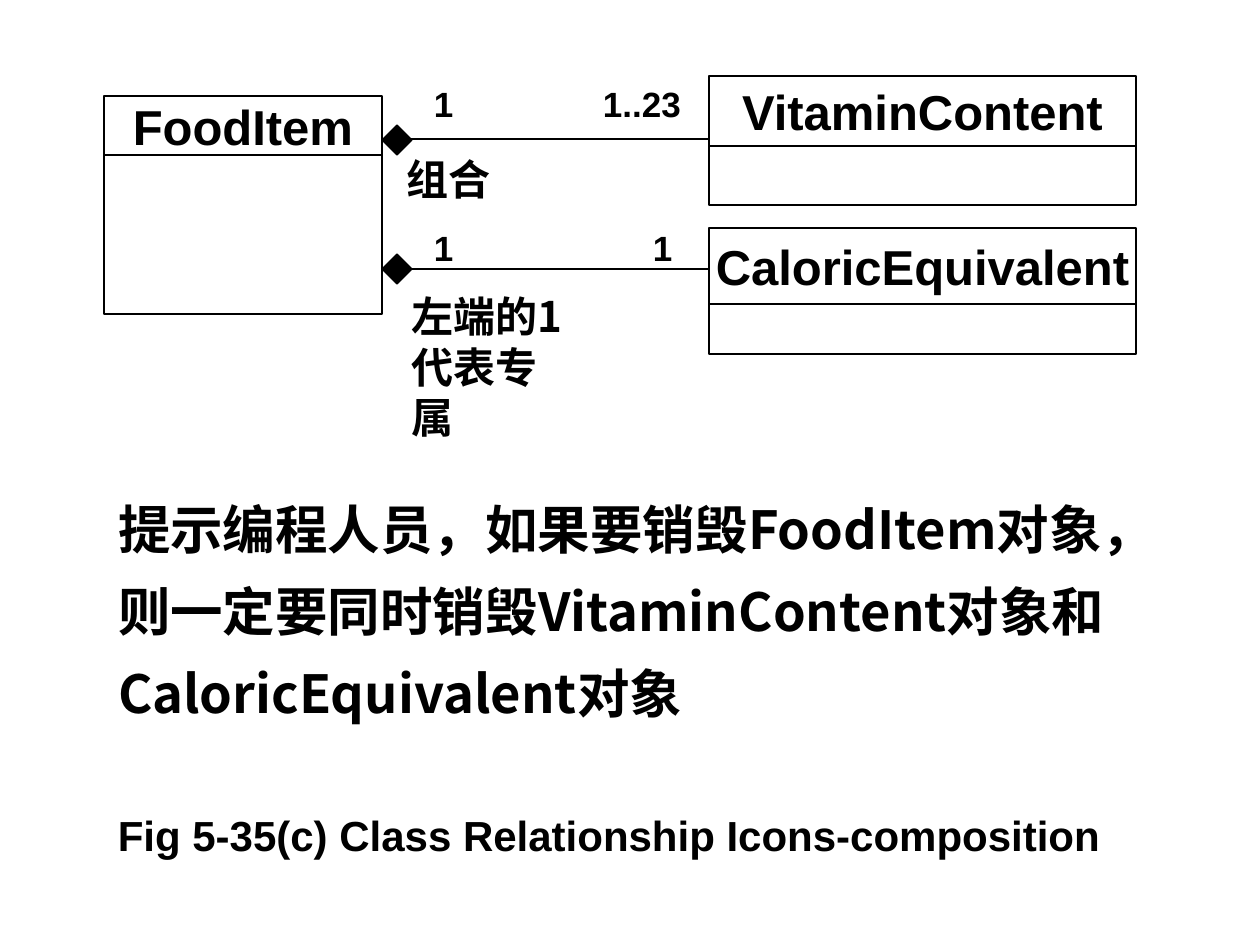
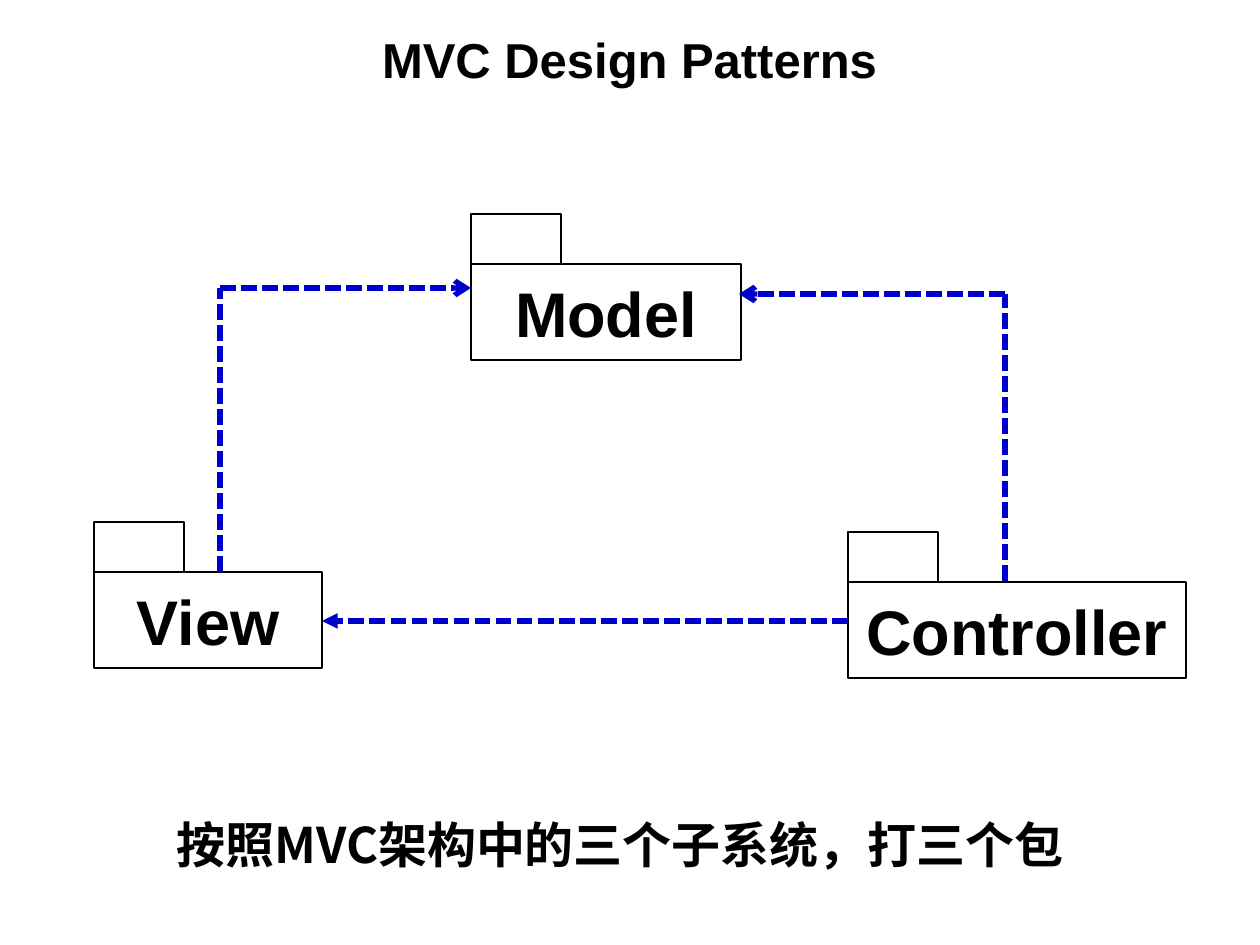
import pptx
import pptx.util
import pptx.dml.color
import pptx.enum.dml
import pptx.enum.shapes
import pptx.enum.text
import pptx.oxml.ns
import lxml.etree

BLACK = pptx.dml.color.RGBColor(0x00, 0x00, 0x00)
WHITE = pptx.dml.color.RGBColor(0xFF, 0xFF, 0xFF)
BLUE = pptx.dml.color.RGBColor(0x00, 0x00, 0xCC)
LATIN = "Arial"
CHINESE = "Noto Sans CJK SC"
PIXEL = 914400 // 126
THIN = 0.74
LEFT = pptx.enum.text.PP_ALIGN.LEFT
CENTER = pptx.enum.text.PP_ALIGN.CENTER
TOP = pptx.enum.text.MSO_ANCHOR.TOP
MIDDLE = pptx.enum.text.MSO_ANCHOR.MIDDLE
SHAPES = pptx.enum.shapes.MSO_SHAPE
TITLE_ONLY, BLANK = 5, 6


def px(*lengths):
    """Turn pixel lengths into EMU."""
    return [pptx.util.Emu(length * PIXEL) for length in lengths]


def apply_format(target, values):
    """Set each attribute named in a dict of format values."""
    for name, value in values.items():
        setattr(target, name, value)


def add_xml(parent, tag, **attributes):
    """Append a DrawingML element to a parent element."""
    return lxml.etree.SubElement(parent, pptx.oxml.ns.qn(tag), attributes)


def write(box, text, size, font=LATIN, align=LEFT, anchor=TOP,
          margins=(13, 6), wrap=True, spacing=None):
    """Write one bold black paragraph into a shape."""
    frame = box.text_frame
    side, edge = px(*margins)
    apply_format(frame, {
        "word_wrap": wrap, "vertical_anchor": anchor,
        "margin_left": side, "margin_right": side,
        "margin_top": edge, "margin_bottom": edge})
    para = frame.paragraphs[0]
    apply_format(para, {"alignment": align, "line_spacing": spacing})
    span = para.add_run()
    span.text = text
    apply_format(span.font, {
        "name": font, "size": pptx.util.Pt(size), "bold": True})
    span.font.color.rgb = BLACK
    add_xml(span.font._element, "a:ea", typeface=font)


def add_label(page, place, text, size, **style):
    """Add a text box at left, top, width, height."""
    write(page.shapes.add_textbox(*px(*place)), text, size, **style)


def add_block(page, place, fill=WHITE, kind=SHAPES.RECTANGLE, weight=THIN):
    """Add a filled shape with a black outline."""
    block = page.shapes.add_shape(kind, *px(*place))
    block.shadow.inherit = False
    block.fill.solid()
    block.fill.fore_color.rgb = fill
    block.line.color.rgb = BLACK
    block.line.width = pptx.util.Pt(weight)
    return block


def add_line(page, start, end, color=BLACK, weight=THIN, dashed=False,
             head=None):
    """Add a straight line, with an arrowhead at its end if one is named."""
    line = page.shapes.add_connector(
        pptx.enum.shapes.MSO_CONNECTOR.STRAIGHT, *px(*start, *end))
    line.line.color.rgb = color
    line.line.width = pptx.util.Pt(weight)
    if dashed:
        line.line.dash_style = pptx.enum.dml.MSO_LINE.SQUARE_DOT
    if head:
        add_xml(line.line._get_or_add_ln(), "a:tailEnd", type=head)
    add_xml(line._element.spPr, "a:effectLst")


def add_class(page, left, top, width, name_height, body_height, name):
    """Add a class icon: a name compartment above an empty one."""
    header = add_block(page, (left, top, width, name_height))
    write(header, name, 28, align=CENTER, anchor=MIDDLE, wrap=False)
    add_block(page, (left, top + name_height, width, body_height))


def add_composition(page, left, right, y, top, ends):
    """Add a composition line with its diamond and multiplicities."""
    add_line(page, (left + 15, y), (right, y))
    add_block(page, (left, top, 30, 30), BLACK, SHAPES.DIAMOND)
    for text, x, label_top, width in ends:
        add_label(page, (x, label_top, width, 55), text, 20)


def add_package(page, left, top, width, name):
    """Add a package icon: a named body with a tab on its top left."""
    body = add_block(page, (left, top, width, 96))
    write(body, name, 36, align=CENTER, margins=(13, 10))
    add_block(page, (left, top - 50, 90, 50), weight=1)


def add_dependency(page, *points, head):
    """Add a dashed route through points, with a head at the last one."""
    last = len(points) - 2
    for index, (start, end) in enumerate(zip(points, points[1:])):
        add_line(page, start, end, BLUE, 3, True,
                 head if index == last else None)


def build_composition(deck):
    """Build the slide on the composition relationship."""
    page = deck.slides.add_slide(deck.slide_layouts[BLANK])
    add_label(page, (399, 285, 189, 164), "左端的1代表专属", 24, font=CHINESE)
    add_label(page, (407, 154, 87, 50), "组合", 24, font=CHINESE,
              margins=(0, 0))
    add_class(page, 104, 96, 278, 59, 159, "FoodItem")
    add_composition(page, 382, 709, 139, 125,
                    [("1", 421, 76, 49), ("1..23", 590, 76, 110)])
    add_composition(page, 382, 709, 269, 254,
                    [("1", 421, 220, 49), ("1", 640, 220, 49)])
    add_class(page, 709, 76, 427, 70, 59, "VitaminContent")
    add_class(page, 709, 228, 427, 76, 50, "CaloricEquivalent")
    add_label(page, (94, 819, 1030, 40),
              "Fig 5-35(c) Class Relationship Icons-composition", 24,
              align=CENTER, margins=(0, 0), spacing=0.8)
    add_label(page, (105, 472, 1042, 258),
              "提示编程人员，如果要销毁FoodItem对象，则一定要同时销毁"
              "VitaminContent对象和CaloricEquivalent对象", 30,
              font=CHINESE, spacing=1.3)


def build_mvc(deck):
    """Build the slide on the packages of the MVC pattern."""
    page = deck.slides.add_slide(deck.slide_layouts[TITLE_ONLY])
    title = page.shapes.title
    place = px(94, 32, 1071, 54)
    apply_format(title, dict(zip(("left", "top", "width", "height"), place)))
    write(title, "MVC Design Patterns", 28, align=CENTER, anchor=MIDDLE)
    add_label(page, (94, 808, 1052, 72),
              "按照MVC架构中的三个子系统，打三个包", 28,
              font=CHINESE, align=CENTER)
    add_package(page, 471, 264, 270, "Model")
    add_package(page, 94, 572, 228, "View")
    add_package(page, 848, 582, 338, "Controller")
    add_dependency(page, (848, 621), (322, 621), head="triangle")
    add_dependency(page, (220, 572), (220, 288), (471, 288), head="arrow")
    add_dependency(page, (1005, 581), (1005, 294), (739, 294), head="arrow")


def main():
    """Build and save the deck."""
    deck = pptx.Presentation()
    deck.slide_width = pptx.util.Inches(10)
    deck.slide_height = pptx.util.Inches(7.5)
    build_composition(deck)
    build_mvc(deck)
    deck.save("out.pptx")


main()
